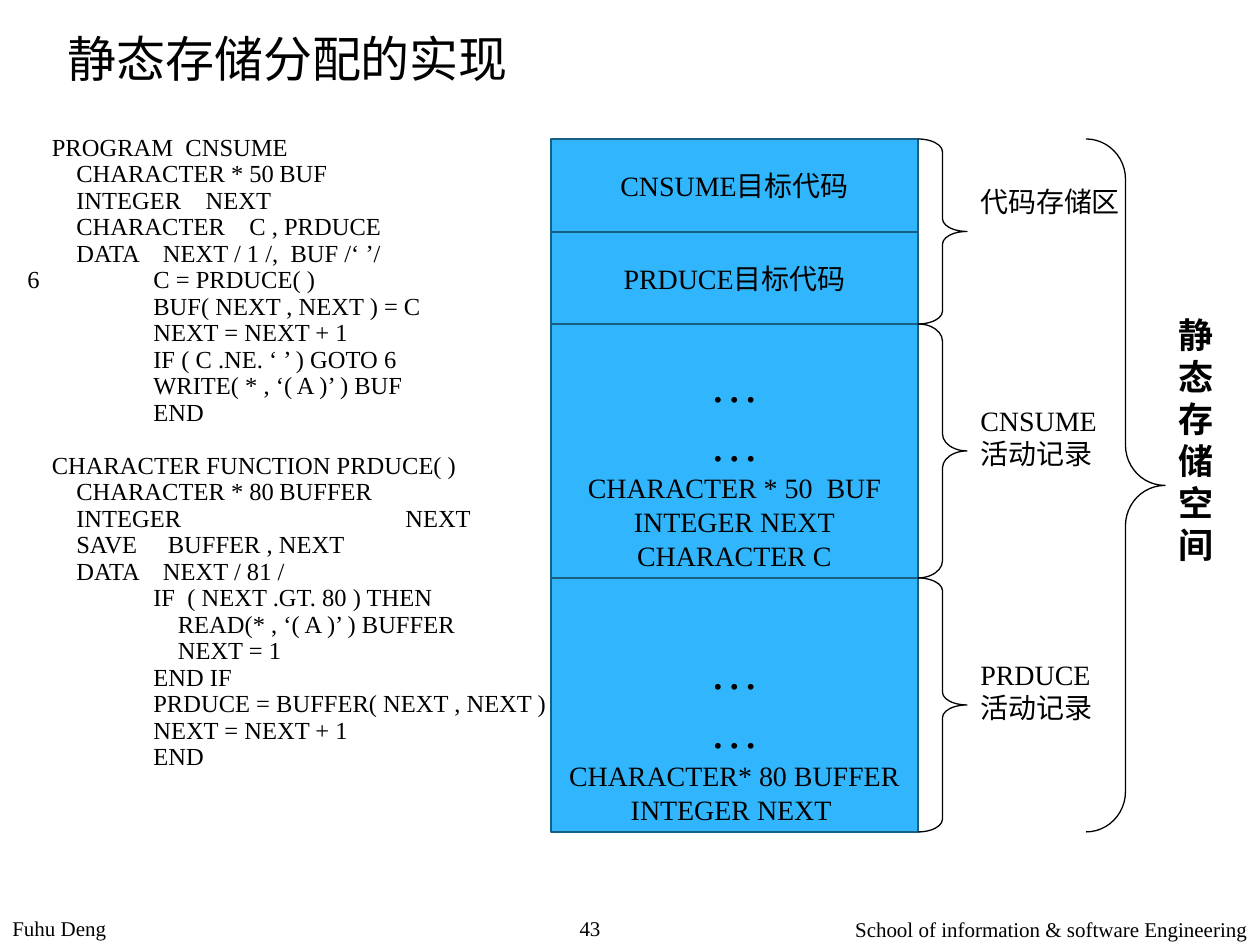
from dataclasses import dataclass
from lxml import etree
from pptx import Presentation
from pptx import util as u
from pptx.dml.color import RGBColor
from pptx.enum import shapes, text
from pptx.oxml import ns


@dataclass(frozen=True)
class Theme:
    ink: RGBColor = RGBColor(0, 0, 0)
    block: RGBColor = RGBColor(0x31, 0xB6, 0xFD)
    edge: RGBColor = RGBColor(0x19, 0x5F, 0x84)
    font: str = "Times New Roman"
    title_font: str = "Noto Sans CJK SC"
    title: int = 28
    total: int = 20
    body: int = 16
    code: int = 14
    footer: int = 12


THEME = Theme()
PX_PER_INCH = 126
LEFT, CENTER, RIGHT = text.PP_ALIGN.LEFT, text.PP_ALIGN.CENTER, text.PP_ALIGN.RIGHT

CODE = """    PROGRAM  CNSUME
        CHARACTER * 50\tBUF
        INTEGER    NEXT
        CHARACTER    C , PRDUCE
        DATA    NEXT / 1 /,  BUF /‘ ’/
6\tC = PRDUCE( )
\tBUF( NEXT , NEXT ) = C
\tNEXT = NEXT + 1
\tIF ( C .NE. ‘ ’ ) GOTO 6
\tWRITE( * , ‘( A )’ ) BUF
\tEND

    CHARACTER FUNCTION PRDUCE( )
        CHARACTER * 80\tBUFFER
        INTEGER\t\tNEXT
        SAVE     BUFFER , NEXT
        DATA    NEXT / 81 /
\tIF  ( NEXT .GT. 80 ) THEN
\t    READ(* , ‘( A )’ ) BUFFER
\t    NEXT = 1
\tEND IF
\tPRDUCE = BUFFER( NEXT , NEXT )
\tNEXT = NEXT + 1
\tEND"""
CODE_TABS = [PX_PER_INCH * stop for stop in (1, 2, 3)]

BLOCKS = [
    (93, "CNSUME目标代码"),
    (92, "PRDUCE目标代码"),
    (254, "…\n…\nCHARACTER * 50  BUF\nINTEGER NEXT\nCHARACTER C"),
    (254, "…\n…\nCHARACTER* 80 BUFFER\nINTEGER NEXT "),
]
BLOCK_LEFT, BLOCK_TOP, BLOCK_WIDTH = 551, 139, 367
BRACE_LEFT, BRACE_WIDTH = BLOCK_LEFT + BLOCK_WIDTH, 49
LABEL_LEFT = 968


def px(length):
    return u.Emu(round(length * u.Inches(1) / PX_PER_INCH))


def set_tabs(para, stops):
    tabs = etree.SubElement(para._p.get_or_add_pPr(), ns.qn("a:tabLst"))
    for stop in stops:
        etree.SubElement(tabs, ns.qn("a:tab"), pos=str(px(stop)), algn="l")


def write(frame, content, size, align=LEFT, font=THEME.font, bold=False,
          spacing=None, tabs=()):
    frame.text = content
    for para in frame.paragraphs:
        para.alignment = align
        para.line_spacing = spacing
        if tabs:
            set_tabs(para, tabs)
        para.font.size = u.Pt(size)
        for span in para.runs:
            span.font.name = font
            span.font.size = u.Pt(THEME.title if span.text == "…" else size)
            span.font.bold = bold
            span.font.color.rgb = THEME.ink


def add_text(page, left, top, width, height, content, size, wrap=True, **style):
    box = page.shapes.add_textbox(px(left), px(top), px(width), px(height))
    box.text_frame.word_wrap = wrap
    write(box.text_frame, content, size, **style)


def add_block(page, top, height, content):
    block = page.shapes.add_shape(
        shapes.MSO_SHAPE.RECTANGLE, px(BLOCK_LEFT), px(top), px(BLOCK_WIDTH), px(height))
    block.shadow.inherit = False
    block.fill.solid()
    block.fill.fore_color.rgb = THEME.block
    block.line.color.rgb = THEME.edge
    block.line.width = u.Pt(1.25)
    frame = block.text_frame
    frame.word_wrap = True
    anchors = text.MSO_ANCHOR
    frame.vertical_anchor = anchors.BOTTOM if "\n" in content else anchors.MIDDLE
    write(frame, content, THEME.body, CENTER)


def add_brace(page, left, top, width, height, curve):
    brace = page.shapes.add_shape(
        shapes.MSO_SHAPE.RIGHT_BRACE, px(left), px(top), px(width), px(height))
    brace.shadow.inherit = False
    brace.adjustments[0] = curve
    brace.fill.background()
    brace.line.color.rgb = THEME.ink
    brace.line.width = u.Pt(0.75)


def add_storage(page):
    edges = [BLOCK_TOP]
    for height, content in BLOCKS:
        add_block(page, edges[-1], height, content)
        edges.append(edges[-1] + height)
    areas = [
        (edges[0], edges[2], 0.26, 178, 166, 47, "代码存储区"),
        (edges[2], edges[3], 0.35, 397, 142, 81, "CNSUME\n活动记录"),
        (edges[3], edges[4], 0.26, 651, 139, 81, "PRDUCE\n活动记录"),
    ]
    for top, bottom, curve, label_top, width, height, label in areas:
        add_brace(page, BRACE_LEFT, top, BRACE_WIDTH, bottom - top, curve)
        add_text(page, LABEL_LEFT, label_top, width, height, label, THEME.body, wrap=False)
    add_brace(page, 1086, edges[0], 79, edges[-1] - edges[0], 0.51)
    add_text(page, 1166, 307, 64, 267, "静态存储空间", THEME.total, bold=True)


def add_footer(page):
    add_text(page, 656, 910, 604, 35, "School of information & software Engineering",
             THEME.footer, align=RIGHT)
    add_text(page, 0, 909, 530, 35, "Fuhu Deng", THEME.footer)
    add_text(page, 531, 909, 118, 36, "43", THEME.footer, align=CENTER)


def main():
    deck = Presentation()
    deck.slide_width, deck.slide_height = px(1260), px(945)
    page = deck.slides.add_slide(deck.slide_layouts[6])
    add_text(page, 55, 22, 902, 92, "静态存储分配的实现", THEME.title, font=THEME.title_font)
    add_text(page, 15, 129, 595, 769, CODE, THEME.code, spacing=0.9, tabs=CODE_TABS)
    add_storage(page)
    add_footer(page)
    deck.save("out.pptx")


if __name__ == "__main__":
    main()
